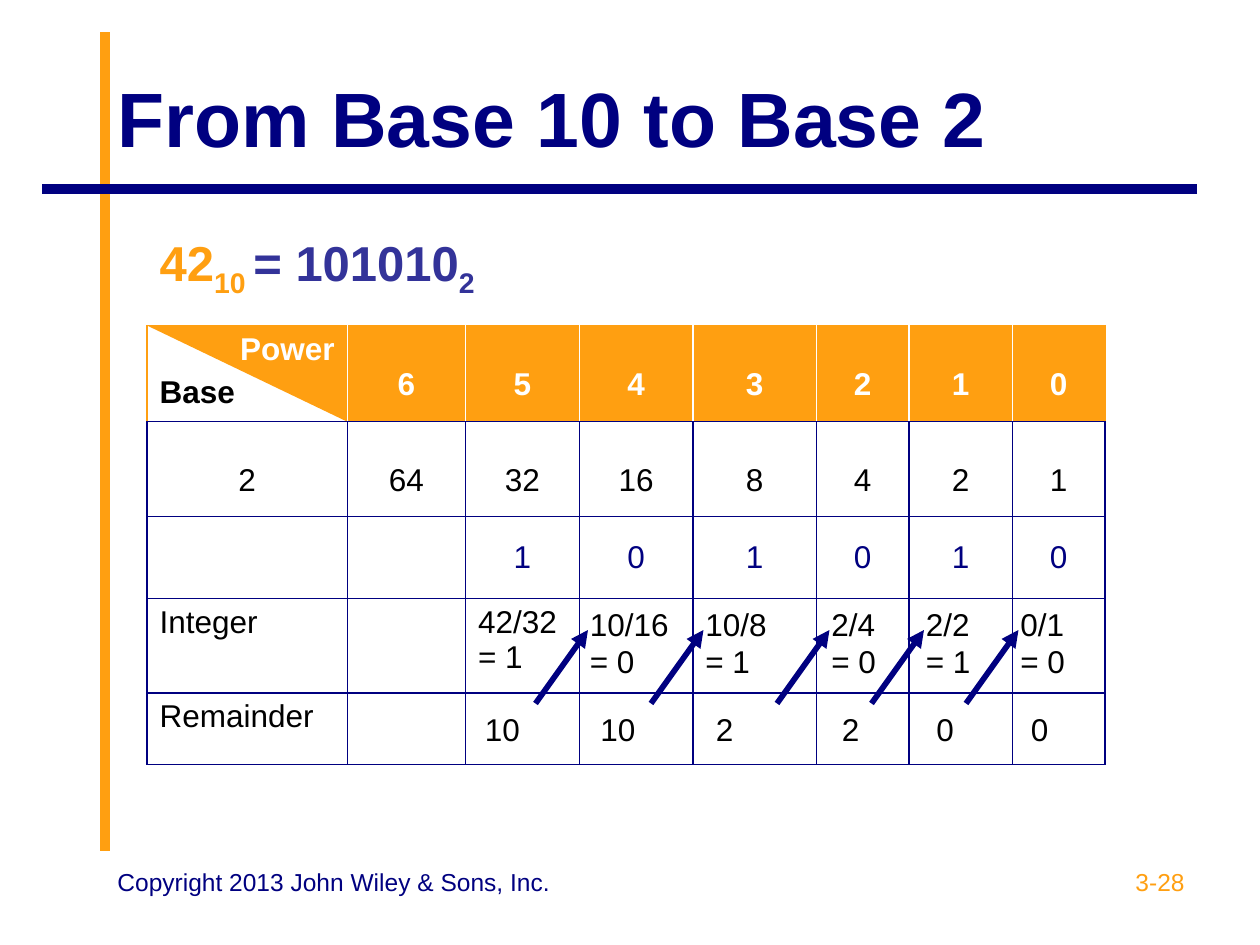
from pptx import Presentation
from pptx.dml.color import RGBColor
from pptx.enum.shapes import MSO_CONNECTOR as Conn, MSO_SHAPE as Shape
from pptx.enum.text import MSO_ANCHOR as Anchor, PP_ALIGN as Align
from pptx.oxml.ns import qn
from pptx.util import Pt
from lxml.etree import SubElement


class Theme:
    font = "Arial"
    navy, orange, indigo = "000080", "FF9F11", "333399"
    black, white = "000000", "FFFFFF"
    head, sum, body, foot = 44, 28, 18, 14
    rule, arrow, edge = 5.5, 3.25, 0.75


TITLE = "From Base 10 to Base 2"
# text, colour, subscript
EQUATION = [
    ("42", Theme.orange, False),
    ("10 ", Theme.orange, True),
    ("= 101010", Theme.indigo, False),
    ("2", Theme.indigo, True),
]
POWERS = ["6", "5", "4", "3", "2", "1", "0"]
VALUES = ["2", "64", "32", "16", "8", "4", "2", "1"]
BITS = ["1", "0", "1", "0", "1", "0"]
# arrow start, division, remainder
STEPS = [
    (306, "10/16\v= 0", "10"),
    (372, "10/8\v= 1", "2"),
    (444, "2/4\v= 0", "2"),
    (498, "2/2\v= 1", "0"),
    (552, "0/1\v= 0", "0"),
]
COLS = [114.5, 67.5, 65, 65, 70.5, 53, 59, 53]
ROWS = [54, 55, 54, 47, 54, 41]
LEFT, TOP = 84, 132
DIV_Y, REM_Y, TIP_Y = 342, 402, 360


def rgb(code):
    return RGBColor.from_string(code)


def style(par, size, color, bold=False, align=Align.LEFT):
    par.alignment = align
    for run in par.runs:
        font = run.font
        font.name, font.size, font.bold = Theme.font, Pt(size), bold
        font.color.rgb = rgb(color)


def label(slide, box, text, size=Theme.body, color=Theme.black, align=Align.LEFT):
    frame = slide.shapes.add_textbox(*map(Pt, box)).text_frame
    frame.word_wrap = True
    frame.text = text
    style(frame.paragraphs[0], size, color, align=align)


def line(slide, start, end, color, width, arrow=False):
    conn = slide.shapes.add_connector(Conn.STRAIGHT, *map(Pt, start + end))
    conn.line.color.rgb = rgb(color)
    conn.line.width = Pt(width)
    if arrow:
        SubElement(conn.line._get_or_add_ln(), qn("a:tailEnd"), type="triangle")
    SubElement(conn._element.spPr, qn("a:effectLst"))


def border(cell, left, right, top, bottom):
    """Draw the four cell edges; None leaves an edge clear."""
    props = cell._tc.get_or_add_tcPr()
    for side, color in zip("LRTB", (left, right, top, bottom)):
        edge = SubElement(props, qn(f"a:ln{side}"), w=str(Pt(Theme.edge)))
        if color:
            fill = SubElement(edge, qn("a:solidFill"))
            SubElement(fill, qn("a:srgbClr"), val=color)
        else:
            SubElement(edge, qn("a:noFill"))


def edges(row, col):
    navy, orange, white = Theme.navy, Theme.orange, Theme.white
    if row == 0:
        return None, None, None, orange
    if row == 1:
        return (white if col else orange,
                white if col < len(COLS) - 1 else orange, orange, navy)
    return navy, navy, orange if row == 1 else navy, navy


def write(cell, text, color=Theme.black, bold=False, align=Align.LEFT, space=None):
    cell.text = text
    par = cell.text_frame.paragraphs[0]
    style(par, Theme.body, color, bold, align)
    if space:
        par.line_spacing = space


def add_grid(slide):
    grid = slide.shapes.add_table(len(ROWS), len(COLS), Pt(LEFT), Pt(TOP),
                                  Pt(sum(COLS)), Pt(sum(ROWS))).table
    grid.first_row = grid.horz_banding = False
    for col, width in zip(grid.columns, COLS):
        col.width = Pt(width)
    for row, height in zip(grid.rows, ROWS):
        row.height = Pt(height)
    for r in range(len(ROWS)):
        for c in range(len(COLS)):
            cell = grid.cell(r, c)
            border(cell, *edges(r, c))
            if r == 1 and c:
                cell.fill.solid()
                cell.fill.fore_color.rgb = rgb(Theme.orange)
            else:
                cell.fill.background()

    grid.cell(0, 0).merge(grid.cell(0, len(COLS) - 1))
    par = grid.cell(0, 0).text_frame.paragraphs[0]
    for text, color, sub in EQUATION:
        run = par.add_run()
        run.text = text
        font = run.font
        font.name, font.size, font.bold = Theme.font, Pt(Theme.sum), True
        font.color.rgb = rgb(color)
        if sub:
            run._r.get_or_add_rPr().set("baseline", "-25000")

    corner = grid.cell(1, 0)
    corner.text = "Power\nBase"
    power, base = corner.text_frame.paragraphs
    style(power, Theme.body, Theme.white, True, Align.RIGHT)
    style(base, Theme.body, Theme.black, True)
    base.space_before = Pt(4.5)

    for c, text in enumerate(POWERS, 1):
        write(grid.cell(1, c), text, Theme.white, True, Align.CENTER, 2.0)
    for c, text in enumerate(VALUES):
        write(grid.cell(2, c), text, align=Align.CENTER, space=2.0)
    for c, text in enumerate(BITS, 2):
        write(grid.cell(3, c), text, Theme.navy, align=Align.CENTER, space=1.5)
    write(grid.cell(4, 0), "Integer")
    write(grid.cell(4, 2), "42/32\v= 1")
    write(grid.cell(5, 0), "Remainder")


def main():
    deck = Presentation()
    deck.slide_width, deck.slide_height = Pt(720), Pt(540)
    slide = deck.slides.add_slide(deck.slide_layouts[5])

    line(slide, (60, 486), (60, 18), Theme.orange, Theme.rule)
    line(slide, (684, 108), (24, 108), Theme.navy, Theme.rule)

    title = slide.shapes.title
    title.left, title.top, title.width, title.height = map(Pt, (60, 21.5, 624, 90))
    title.text_frame.text = TITLE
    title.text_frame.vertical_anchor = Anchor.MIDDLE
    style(title.text_frame.paragraphs[0], Theme.head, Theme.navy, True)

    wedge = slide.shapes.add_shape(Shape.RIGHT_TRIANGLE, Pt(LEFT), Pt(TOP + ROWS[0]),
                                   Pt(COLS[0]), Pt(ROWS[1]))
    wedge.rotation = 180
    wedge.shadow.inherit = False
    wedge.fill.solid()
    wedge.fill.fore_color.rgb = rgb(Theme.orange)
    wedge.line.fill.background()

    add_grid(slide)
    label(slide, (270, REM_Y, 36, 29), "10")
    for x, ratio, rest in STEPS:
        line(slide, (x, REM_Y), (x + 30, TIP_Y), Theme.navy, Theme.arrow, True)
        label(slide, (x + 24, DIV_Y, 66, 50), ratio)
        label(slide, (x + 30, REM_Y, 42, 29), rest)

    label(slide, (516, 492, 168, 37.5), "3-28", Theme.foot, Theme.orange, Align.RIGHT)
    label(slide, (60, 492, 264, 37.5), "Copyright 2013 John Wiley & Sons, Inc.",
          Theme.foot, Theme.navy)
    deck.save("out.pptx")


if __name__ == "__main__":
    main()
